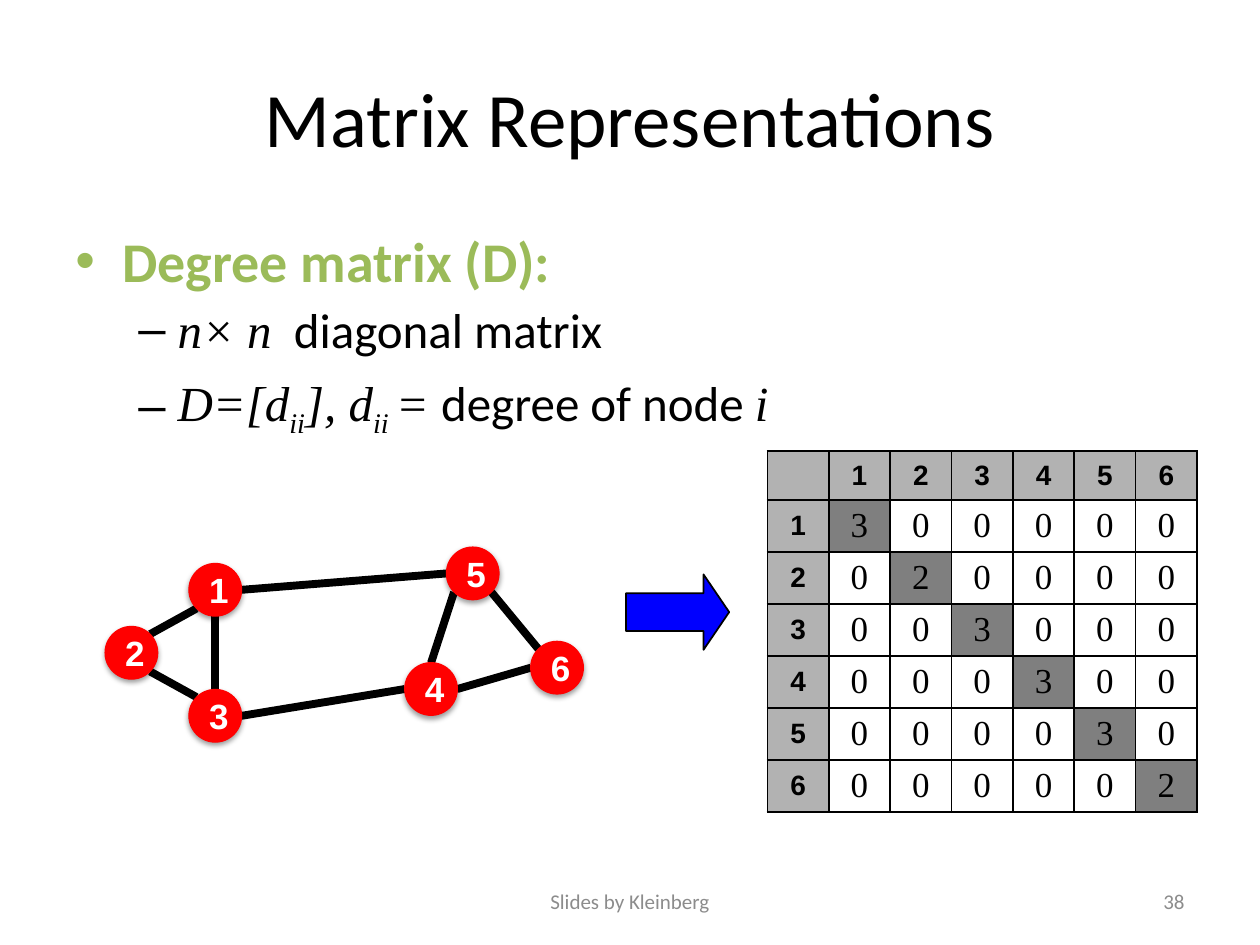
from lxml.etree import SubElement
from pptx import Presentation
from pptx.dml.color import RGBColor
from pptx.enum.shapes import MSO_CONNECTOR as Connector, MSO_SHAPE as Shape
from pptx.enum.text import MSO_ANCHOR as Anchor, PP_ALIGN as Align
from pptx.oxml.ns import qn
from pptx.util import Cm, Pt

BLACK = RGBColor(0x00, 0x00, 0x00)
WHITE = RGBColor(0xFF, 0xFF, 0xFF)
GREEN = RGBColor(0x9B, 0xBB, 0x59)
FOOTER_GREY = RGBColor(0x8C, 0x8C, 0x8C)
HEADER_GREY = RGBColor(0xB2, 0xB2, 0xB2)
RED = RGBColor(0xFF, 0x00, 0x00)
BLUE = RGBColor(0x00, 0x00, 0xFF)

SANS, SERIF, LABEL = "Calibri", "Times New Roman", "Arial"

NODE_SIZE = 1.06
NODE_CENTRES = {
    1: (4.34, 11.89), 2: (2.65, 13.16), 3: (4.34, 14.43),
    4: (8.69, 13.89), 5: (9.53, 11.56), 6: (11.23, 13.46),
}
DIAGONAL = 0.71
TOP, BOTTOM, LEFT, RIGHT = (0, -1), (0, 1), (-1, 0), (1, 0)
TOP_LEFT, TOP_RIGHT = (-DIAGONAL, -DIAGONAL), (DIAGONAL, -DIAGONAL)
BOTTOM_LEFT, BOTTOM_RIGHT = (-DIAGONAL, DIAGONAL), (DIAGONAL, DIAGONAL)
EDGES = [
    (1, BOTTOM_LEFT, 2, TOP_RIGHT), (2, BOTTOM_RIGHT, 3, TOP_LEFT),
    (1, BOTTOM, 3, TOP), (1, RIGHT, 5, LEFT), (3, RIGHT, 4, LEFT),
    (5, BOTTOM_RIGHT, 6, TOP_LEFT), (4, RIGHT, 6, LEFT),
    (5, BOTTOM_LEFT, 4, TOP),
]


def style(span, font, size, color, bold=False, italic=False):
    span.font.name = font
    span.font.size = Pt(size)
    span.font.color.rgb = color
    span.font.bold = bold
    span.font.italic = italic


def add_text(page, left, top, width, height, text, size, color, align):
    box = page.shapes.add_textbox(Cm(left), Cm(top), Cm(width), Cm(height))
    frame = box.text_frame
    frame.word_wrap = True
    frame.vertical_anchor = Anchor.MIDDLE
    frame.text = text
    para = frame.paragraphs[0]
    para.alignment = align
    style(para.runs[0], SANS, size, color)


def set_bullet(para, mark, margin, hanging):
    properties = para._p.get_or_add_pPr()
    properties.set("marL", str(Cm(margin)))
    properties.set("indent", str(-Cm(hanging)))
    SubElement(properties, qn("a:buFont"), typeface=LABEL)
    SubElement(properties, qn("a:buChar"), char=mark)


def add_formula_line(frame, space_before, parts):
    """Add a dash item from (text, kind) parts: math, sub or plain."""
    para = frame.add_paragraph()
    para.level = 1
    para.space_before = Pt(space_before)
    set_bullet(para, "–", 2.06, 0.79)
    for text, kind in parts:
        span = para.add_run()
        span.text = text
        plain = kind == "plain"
        style(span, SANS if plain else SERIF, 28, BLACK, italic=not plain)
        if kind == "sub":
            span._r.get_or_add_rPr().set("baseline", "-25000")


def add_definition(page):
    box = page.shapes.add_textbox(Cm(1.27), Cm(4.45), Cm(22.86), Cm(12.57))
    frame = box.text_frame
    frame.word_wrap = True
    frame.text = "Degree matrix (D):"
    para = frame.paragraphs[0]
    para.space_before = Pt(6.4)
    set_bullet(para, "•", 0.95, 0.95)
    style(para.runs[0], SANS, 32, GREEN, bold=True)
    add_formula_line(frame, 2.8, [("n× n", "math"), ("  diagonal matrix", "plain")])
    add_formula_line(frame, 8.4, [
        ("D=[d", "math"), ("ii", "sub"), ("], d", "math"), ("ii ", "sub"),
        ("= ", "math"), ("degree of node ", "plain"), ("i", "math"),
    ])


def set_borders(cell):
    properties = cell._tc.get_or_add_tcPr()
    for position, side in enumerate(("a:lnL", "a:lnR", "a:lnT", "a:lnB")):
        line = SubElement(properties, qn(side), w=str(Pt(1)))
        fill = SubElement(line, qn("a:solidFill"))
        SubElement(fill, qn("a:srgbClr"), val=str(BLACK))
        properties.insert(position, line)


def fill_cell(cell, color, opacity=100):
    cell.fill.solid()
    cell.fill.fore_color.rgb = color
    if opacity < 100:
        tint = cell._tc.tcPr.find(".//" + qn("a:srgbClr"))
        SubElement(tint, qn("a:alpha"), val=str(opacity * 1000))


def add_degree_matrix(page):
    count = len(NODE_CENTRES)
    degrees = {node: sum(node in edge[::2] for edge in EDGES) for node in NODE_CENTRES}
    frame = page.shapes.add_table(
        count + 1, count + 1, Cm(15.47), Cm(9.09), Cm(8.66), Cm(7.25))
    table = frame.table
    table.first_row = table.horz_banding = False
    for column in table.columns:
        column.width = Cm(1.237)
    for index, row in enumerate(table.rows):
        row.height = Cm(1.04 if index else 0.99)
    for i in range(count + 1):
        for j in range(count + 1):
            cell = table.cell(i, j)
            header = i == 0 or j == 0
            cell.margin_top = cell.margin_bottom = Cm(0.1)
            cell.vertical_anchor = Anchor.MIDDLE
            if header:
                fill_cell(cell, HEADER_GREY)
            elif i == j:
                fill_cell(cell, BLACK, opacity=50)
            else:
                cell.fill.background()
            set_borders(cell)
            if i or j:
                value = i + j if header else degrees[i] if i == j else 0
                cell.text = str(value)
                para = cell.text_frame.paragraphs[0]
                para.alignment = Align.CENTER
                style(para.runs[0], LABEL if header else SERIF,
                      16 if header else 20, BLACK, bold=header)


def add_arrow(page):
    arrow = page.shapes.add_shape(
        Shape.RIGHT_ARROW, Cm(12.62), Cm(11.58), Cm(2.08), Cm(1.52))
    arrow.adjustments[1] = 0.34
    arrow.shadow.inherit = False
    arrow.fill.solid()
    arrow.fill.fore_color.rgb = BLUE
    arrow.line.color.rgb = BLACK
    arrow.line.width = Pt(1)


def rim_point(node, direction):
    return [Cm(centre + step * NODE_SIZE / 2)
            for centre, step in zip(NODE_CENTRES[node], direction)]


def add_edge(page, start, start_side, end, end_side):
    edge = page.shapes.add_connector(
        Connector.STRAIGHT, *rim_point(start, start_side), *rim_point(end, end_side))
    edge.line.color.rgb = BLACK
    edge.line.width = Pt(4.5)
    SubElement(edge._element.spPr, qn("a:effectLst"))


def add_soft_shadow(shape):
    shape.shadow.inherit = False
    effects = shape._element.spPr.find(qn("a:effectLst"))
    shadow = SubElement(effects, qn("a:outerShdw"), blurRad=str(Pt(3.1)),
                        dist=str(Pt(1.6)), dir="5400000", rotWithShape="0")
    color = SubElement(shadow, qn("a:srgbClr"), val=str(BLACK))
    SubElement(color, qn("a:alpha"), val="38000")


def add_node(page, number):
    x, y = NODE_CENTRES[number]
    node = page.shapes.add_shape(
        Shape.OVAL, Cm(x - NODE_SIZE / 2), Cm(y - NODE_SIZE / 2),
        Cm(NODE_SIZE), Cm(NODE_SIZE))
    node.fill.solid()
    node.fill.fore_color.rgb = RED
    node.line.color.rgb = RED
    node.line.width = Pt(0.75)
    add_soft_shadow(node)
    node.text_frame.text = str(number)
    para = node.text_frame.paragraphs[0]
    para.alignment = Align.CENTER
    style(para.runs[0], LABEL, 20, WHITE, bold=True)


def main():
    deck = Presentation()
    deck.slide_width, deck.slide_height = Cm(25.4), Cm(19.05)
    page = deck.slides.add_slide(deck.slide_layouts[6])
    add_text(page, 1.27, 0.76, 22.86, 3.18, "Matrix Representations",
             44, BLACK, Align.CENTER)
    add_definition(page)
    add_text(page, 8.68, 17.65, 8.04, 1.02, "Slides by Kleinberg",
             12, FOOTER_GREY, Align.CENTER)
    add_text(page, 18.2, 17.65, 5.93, 1.02, "38", 12, FOOTER_GREY, Align.RIGHT)
    add_degree_matrix(page)
    add_arrow(page)
    for edge in EDGES:
        add_edge(page, *edge)
    for number in NODE_CENTRES:
        add_node(page, number)
    deck.save("out.pptx")


if __name__ == "__main__":
    main()
